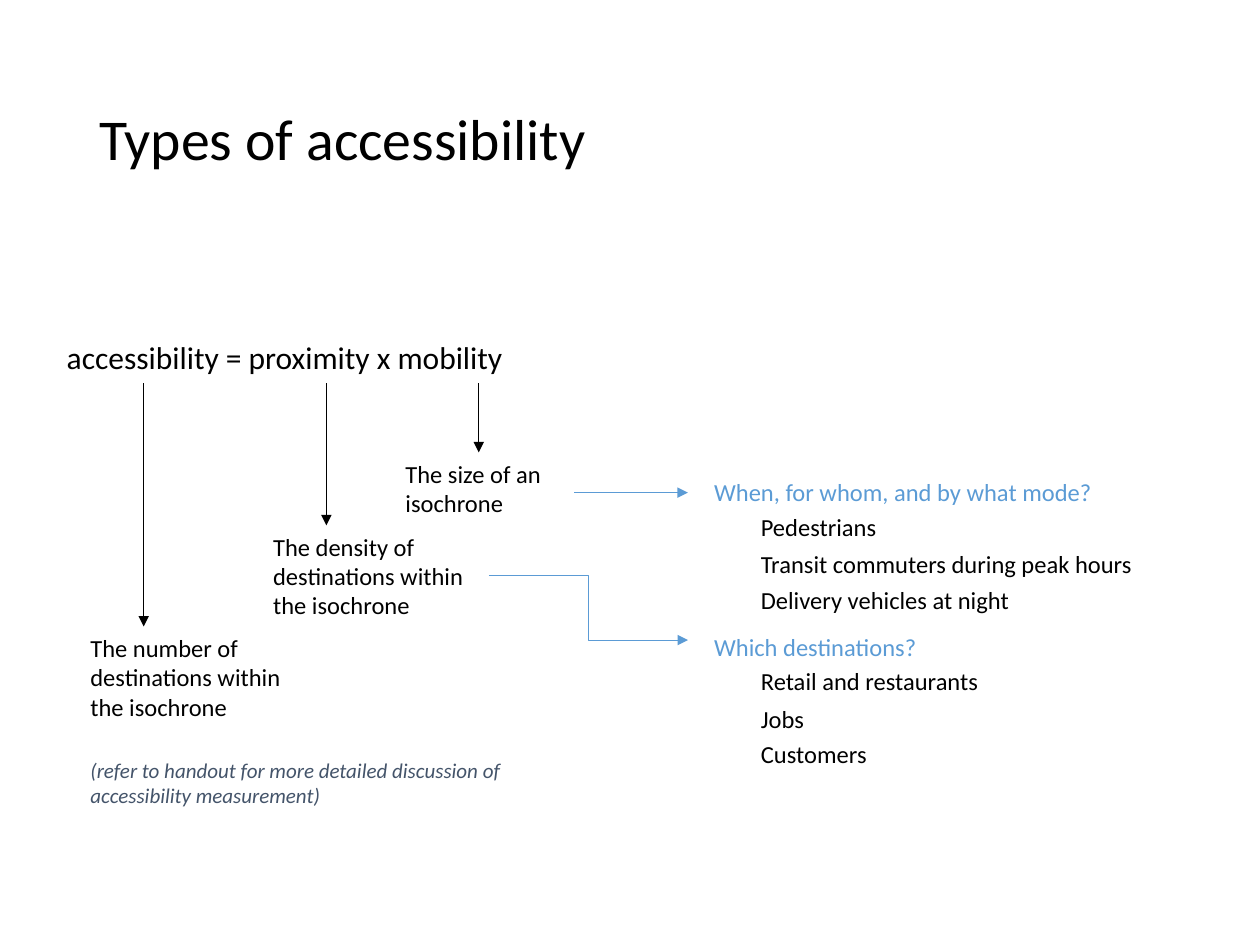
"""Build the slide that explains the types of accessibility."""
from lxml import etree
from pptx import Presentation
from pptx import util as u
from pptx.dml.color import RGBColor
from pptx.enum import shapes, text
from pptx.oxml.ns import qn

COLORS = {"black": "000000", "blue": "5B9BD5", "slate": "44546A"}


def write_text(shape, words, size, color="black", wrap=True, italic=None):
    frame = shape.text_frame
    frame.word_wrap = wrap
    paragraph = frame.paragraphs[0]
    paragraph.alignment = text.PP_ALIGN.LEFT
    run = paragraph.add_run()
    run.text = words
    run.font.name = "Calibri"
    run.font.size = u.Pt(size)
    run.font.italic = italic
    run.font.color.rgb = RGBColor.from_string(COLORS[color])


def add_arrow(kind, start_x, start_y, end_x, end_y, color):
    arrow = slide.shapes.add_connector(
        kind, u.Pt(start_x), u.Pt(start_y), u.Pt(end_x), u.Pt(end_y))
    arrow.line.width = u.Pt(0.5)
    arrow.line.color.rgb = RGBColor.from_string(COLORS[color])
    line = arrow.line._get_or_add_ln()
    etree.SubElement(line, qn("a:tailEnd"), type="triangle")
    etree.SubElement(arrow._element.spPr, qn("a:effectLst"))


presentation = Presentation()
presentation.slide_width = u.Pt(720)
presentation.slide_height = u.Pt(540)
slide = presentation.slides.add_slide(presentation.slide_layouts[5])

title = slide.shapes.title
title.left, title.top = u.Pt(49.5), u.Pt(28.75)
title.width, title.height = u.Pt(621), u.Pt(104.4)
write_text(title, "Types of accessibility", 33)
title.text_frame.auto_size = text.MSO_AUTO_SIZE.NONE
title.text_frame.vertical_anchor = text.MSO_ANCHOR.MIDDLE
title.text_frame.paragraphs[0].line_spacing = 0.9

labels = [
    ("accessibility = proximity x mobility", 31, 189.4, 286, 29, 18, "black", False, None),
    ("(refer to handout for more detailed discussion of accessibility measurement)",
     44.6, 429.2, 289.5, 36, 12, "slate", True, True),
]

terms = [
    ("The size of an isochrone", 224.6, 258.5, 123, 41, 273.6),
    ("The density of destinations within the isochrone", 149, 300.2, 130.3, 58.3, 186.5),
    ("The number of destinations within the isochrone", 44.6, 358, 139.7, 58.3, 82.1),
]
for words, left, top, width, height, arrow_x in terms:
    labels.append((words, left, top, width, height, 14, "black", True, None))
    add_arrow(shapes.MSO_CONNECTOR.STRAIGHT, arrow_x, 218.9, arrow_x, top, "black")

questions = [
    (269.3, ("When, for whom, and by what mode?", 247.7),
     [("Pedestrians", 89.3), ("Transit commuters during peak hours", 247),
      ("Delivery vehicles at night", 170.6)]),
    (357.8, ("Which destinations?", 141.1),
     [("Retail and restaurants", 152.6), ("Jobs", 44.6), ("Customers", 82.8)]),
]
for top, (question, question_width), answers in questions:
    labels.append((question, 401, top, question_width, 24.5, 14, "blue", False, None))
    for (answer, width), offset in zip(answers, (19.5, 41, 61.2)):
        labels.append((answer, 427.7, top + offset, width, 24.5, 14, "black", False, None))

for words, left, top, width, height, size, color, wrap, italic in labels:
    label = slide.shapes.add_textbox(u.Pt(left), u.Pt(top), u.Pt(width), u.Pt(height))
    write_text(label, words, size, color, wrap, italic)
    label.text_frame.auto_size = text.MSO_AUTO_SIZE.SHAPE_TO_FIT_TEXT

add_arrow(shapes.MSO_CONNECTOR.STRAIGHT, 328.3, 281.5, 393.1, 281.5, "blue")
add_arrow(shapes.MSO_CONNECTOR.ELBOW, 279.3, 329, 393.1, 365.8, "blue")

presentation.save("out.pptx")
